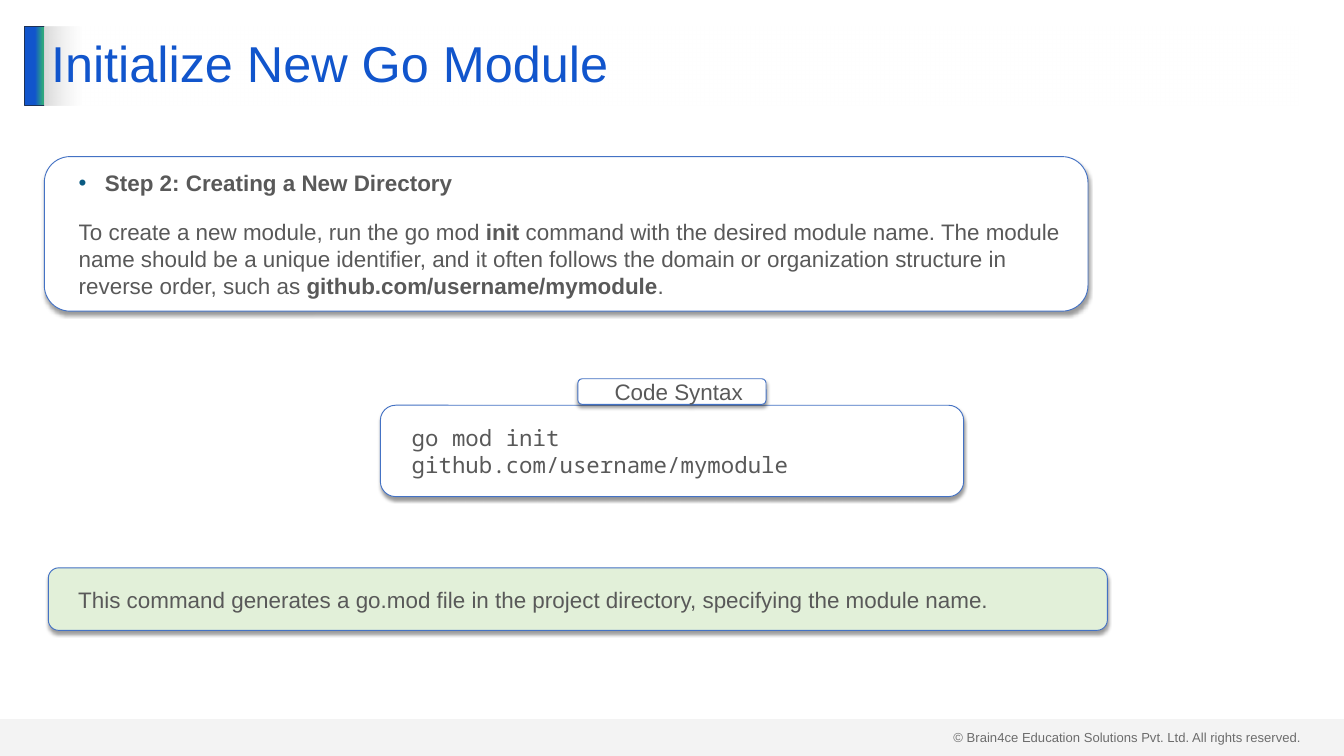
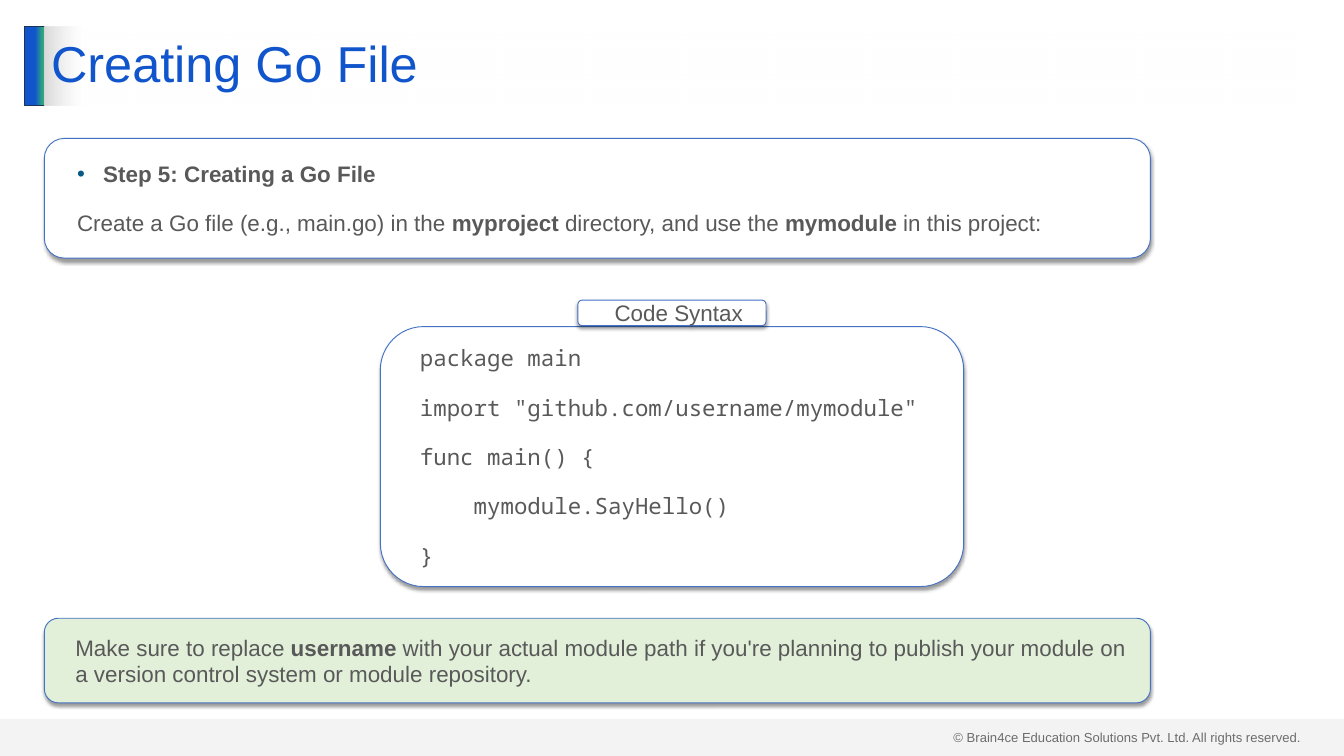
"""Build two slides on Go modules: a step card, a code panel and a note on each."""
from lxml.etree import SubElement
from pptx import Presentation
from pptx.dml.color import RGBColor
from pptx.enum.shapes import MSO_SHAPE
from pptx.enum.text import MSO_ANCHOR, MSO_AUTO_SIZE, PP_ALIGN
from pptx.oxml.ns import qn
from pptx.util import Pt

COLOURS = {
    "white": "FFFFFF",
    "blue": "1155CC",
    "green": "2EA87D",
    "navy": "1E3256",
    "outline": "4472C4",
    "grey": "D9D9D9",
    "note": "E2F0D9",
    "body": "595959",
    "bullet": "095A82",
    "footer": "404040",
    "shadow": "000000",
}
FONTS = {
    "title": {"size": Pt(54), "name": "Arial", "bold": False},
    "body": {"size": Pt(24), "name": "Arial"},
    "code": {"size": Pt(24), "name": "Noto Sans Mono"},
    "footer": {"size": Pt(14), "name": "Arial"},
}
CARD_FRAME = {
    "word_wrap": True,
    "vertical_anchor": MSO_ANCHOR.MIDDLE,
    "margin_left": Pt(14.4),
    "margin_right": Pt(14.4),
    "margin_top": Pt(7.2),
    "margin_bottom": Pt(7.2),
}
TITLE_FRAME = {
    "word_wrap": True,
    "vertical_anchor": MSO_ANCHOR.MIDDLE,
    "auto_size": MSO_AUTO_SIZE.NONE,
}
FOOTER_FRAME = {"word_wrap": True, "auto_size": MSO_AUTO_SIZE.SHAPE_TO_FIT_TEXT}
PAGE_WIDTH, PAGE_HEIGHT = 1440, 810
CARD_LEFT = 47.5
HEADER_TOP, HEADER_HEIGHT = 28.1, 85
BAND_HEIGHT = 39.6
CODE_LEFT, CODE_WIDTH = 407.5, 625
LABEL_WIDTH, LABEL_HEIGHT, LABEL_RISE = 201.6, 27.4, 28.4
INDENT, BULLET_HANG, PARAGRAPH_GAP = 14.4, 28.1, 24
COPYRIGHT = "© Brain4ce Education Solutions Pvt. Ltd. All rights reserved."

PAGES = [
    {
        "title": "Initialize New Go Module",
        "step_area": (CARD_LEFT, 167.8, 1118.2, 165.6),
        "step": [
            "**Step 2: Creating a New Directory**",
            "To create a new module, run the go mod **init** command with the desired "
            "module name. The module name should be a unique identifier, and it often "
            "follows the domain or organization structure in reverse order, such as "
            "**github.com/username/mymodule**.",
        ],
        "code_top": 434.2,
        "code_height": 97.9,
        "code": ["go mod init github.com/username/mymodule"],
        "note_area": (51.8, 608.4, 1134.7, 67),
        "note": "This command generates a go.mod file in the project directory, "
                "specifying the module name.",
    },
    {
        "title": "Creating Go File",
        "step_area": (CARD_LEFT, 148.3, 1185.1, 128.2),
        "step": [
            "**Step 5: Creating a Go File**",
            "Create a Go file (e.g., main.go) in the **myproject** directory, "
            "and use the **mymodule** in this project:",
        ],
        "code_top": 349.9,
        "code_height": 278.6,
        "code": [
            "package main",
            'import "github.com/username/mymodule"',
            "func main() {",
            "    mymodule.SayHello()",
            "}",
        ],
        "note_area": (CARD_LEFT, 662.4, 1185.1, 90.7),
        "note": "Make sure to replace **username** with your actual module path if you're "
                "planning to publish your module on a version control system or module "
                "repository.",
    },
]


def colour(name):
    return RGBColor.from_string(COLOURS[name])


def apply(target, values):
    for name, value in values.items():
        setattr(target, name, value)


def add_colour(parent, name, opacity=100):
    element = SubElement(parent, qn("a:srgbClr"), val=COLOURS[name])
    if opacity < 100:
        SubElement(element, qn("a:alpha"), val=str(opacity * 1000))


def fill_gradient(shape, stops):
    shape.fill.gradient()
    gradient = shape.element.spPr.find(qn("a:gradFill"))
    gradient.find(qn("a:lin")).set("ang", "0")
    stop_list = gradient.find(qn("a:gsLst"))
    for stop in list(stop_list):
        stop_list.remove(stop)
    for position, name, opacity in stops:
        stop = SubElement(stop_list, qn("a:gs"), pos=str(position * 1000))
        add_colour(stop, name, opacity)


def set_outline(shape, name):
    shape.line.color.rgb = colour(name)
    shape.line.width = Pt(1)


def add_box(page, kind, area, fill):
    box = page.shapes.add_shape(kind, *map(Pt, area))
    box.shadow.inherit = False
    box.fill.solid()
    box.fill.fore_color.rgb = colour(fill)
    return box


def add_span(para, text, font, ink, **extra):
    span = para.add_run()
    span.text = text
    apply(span.font, FONTS[font] | extra)
    span.font.color.rgb = colour(ink)


def add_marked_text(para, text, font):
    for number, part in enumerate(text.split("**")):
        if part:
            add_span(para, part, font, "body", bold=number % 2 == 1)


def set_indent(para, left, first):
    properties = para._p.get_or_add_pPr()
    properties.set("marL", str(Pt(left)))
    properties.set("indent", str(Pt(first)))
    return properties


def set_bullet(para):
    properties = set_indent(para, INDENT + BULLET_HANG, -BULLET_HANG)
    add_colour(SubElement(properties, qn("a:buClr")), "bullet")
    SubElement(properties, qn("a:buFont"), typeface="Arial")
    SubElement(properties, qn("a:buChar"), char="•")


def add_card(page, area, texts, fill="white", font="body", align=PP_ALIGN.LEFT):
    card = add_box(page, MSO_SHAPE.ROUNDED_RECTANGLE, area, fill)
    set_outline(card, "outline")
    effects = card.element.spPr.find(qn("a:effectLst"))
    shadow = SubElement(effects, qn("a:outerShdw"), blurRad=str(Pt(4)), dist=str(Pt(3)),
                        dir="5400000", algn="t", rotWithShape="0")
    add_colour(shadow, "shadow", 40)
    frame = card.text_frame
    apply(frame, CARD_FRAME)
    for number, text in enumerate(texts):
        para = frame.add_paragraph() if number else frame.paragraphs[0]
        set_indent(para, INDENT, 0)
        para.alignment = align
        para.space_before = Pt(PARAGRAPH_GAP if number else 0)
        para.space_after = Pt(0)
        add_marked_text(para, text, font)
    return card


def add_step(page, area, texts):
    card = add_card(page, area, texts)
    set_bullet(card.text_frame.paragraphs[0])


def add_code(page, top, height, lines):
    add_card(page, (CODE_LEFT, top, CODE_WIDTH, height), lines, font="code")
    label_left = CODE_LEFT + (CODE_WIDTH - LABEL_WIDTH) / 2
    label_area = (label_left, top - LABEL_RISE, LABEL_WIDTH, LABEL_HEIGHT)
    add_card(page, label_area, ["Code Syntax"], align=PP_ALIGN.CENTER)


def set_title(page, text):
    title = page.shapes.title
    area = (CARD_LEFT, HEADER_TOP, 1344.2, HEADER_HEIGHT)
    apply(title, dict(zip(("left", "top", "width", "height"), map(Pt, area))))
    fill_gradient(title, [(0, "grey", 100), (3, "white", 50)])
    apply(title.text_frame, TITLE_FRAME)
    para = title.text_frame.paragraphs[0]
    apply(para, {"alignment": PP_ALIGN.LEFT, "line_spacing": 0.9})
    add_span(para, text, "title", "blue")


def add_frame(page):
    footer = page.shapes.add_textbox(*map(Pt, (1014.5, 777.6, 389.5, 24.5)))
    apply(footer.text_frame, FOOTER_FRAME)
    add_span(footer.text_frame.paragraphs[0], COPYRIGHT, "footer", "footer")

    bar_area = (26.6, HEADER_TOP, 21.6, HEADER_HEIGHT)
    bar = add_box(page, MSO_SHAPE.RECTANGLE, bar_area, "blue")
    fill_gradient(bar, [(51, "blue", 100), (90, "green", 100), (100, "green", 100)])
    set_outline(bar, "navy")

    band_area = (0, PAGE_HEIGHT - BAND_HEIGHT, PAGE_WIDTH, BAND_HEIGHT)
    band = add_box(page, MSO_SHAPE.RECTANGLE, band_area, "grey")
    band.line.fill.background()
    band_colour = band.element.spPr.find(qn("a:solidFill"))[0]
    SubElement(band_colour, qn("a:alpha"), val="29000")
    return footer, bar, band


def share_frame(page):
    layout = page.slide_layout
    tree = layout.shapes.element
    for placeholder in list(layout.placeholders)[1:]:
        tree.remove(placeholder.element)
    for shape in add_frame(page):
        tree.append(shape.element)


def add_page(deck, content):
    page = deck.slides.add_slide(deck.slide_layouts.get_by_name("Title Only"))
    set_title(page, content["title"])
    return page


def main():
    deck = Presentation()
    apply(deck, {"slide_width": Pt(PAGE_WIDTH), "slide_height": Pt(PAGE_HEIGHT)})
    for number, content in enumerate(PAGES):
        page = add_page(deck, content)
        if number == 0:
            share_frame(page)
        add_step(page, content["step_area"], content["step"])
        add_code(page, content["code_top"], content["code_height"], content["code"])
        add_card(page, content["note_area"], [content["note"]], fill="note")
    deck.save("out.pptx")


if __name__ == "__main__":
    main()
